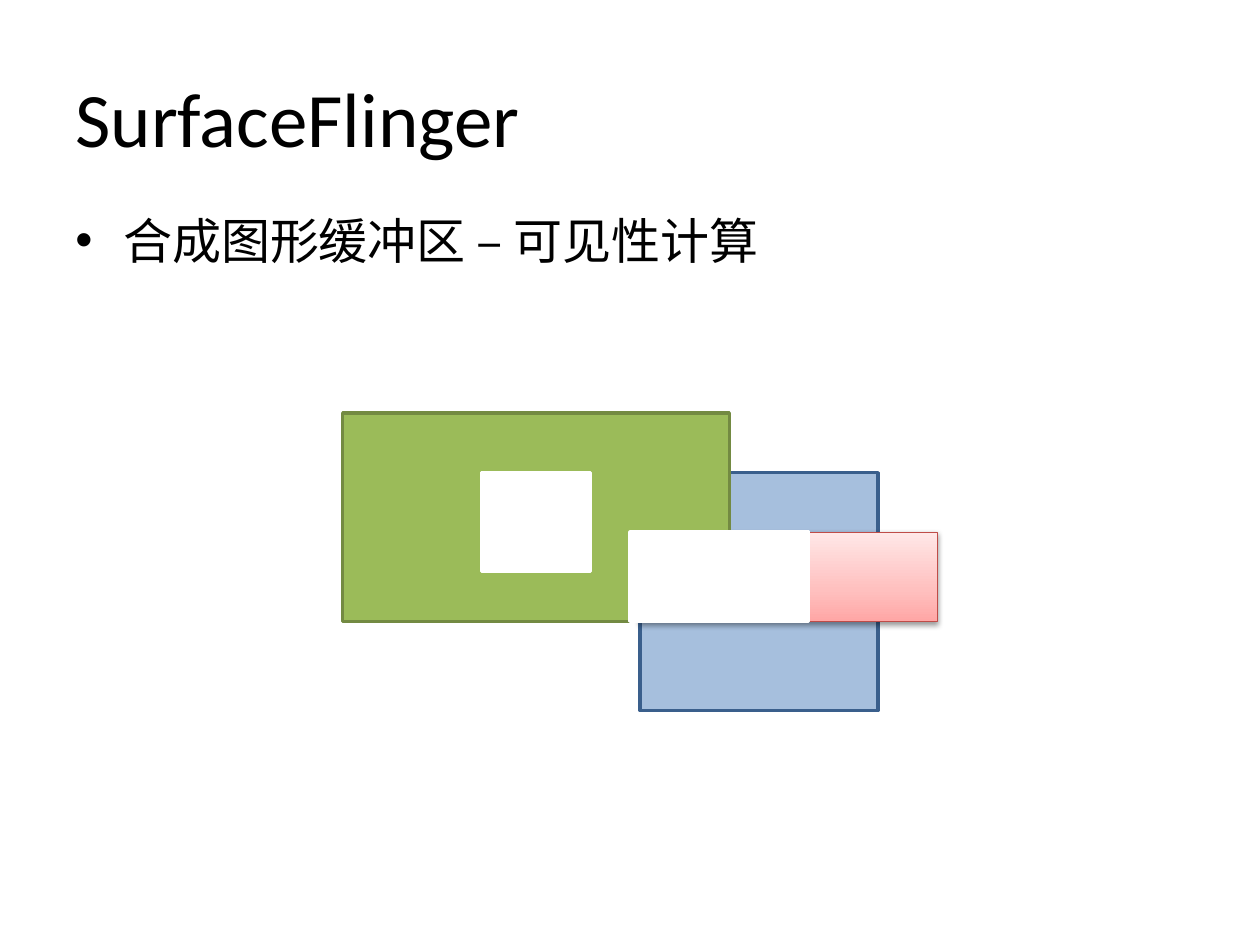
import pptx
import pptx.dml.color
import pptx.enum.shapes
import pptx.enum.text
import pptx.oxml
import pptx.oxml.ns
import pptx.util

WIDTH, HEIGHT = 10, 7.5
UNIT = 0.236
GRID_LEFT, GRID_TOP = 2.72, 3.28
FONT = "Calibri"
COLORS = {
    "text": "000000",
    "blue": "4F81BD", "blue line": "3A5F8C",
    "red line": "BF4C48",
    "green": "9BBB59", "green line": "738A42",
    "hole": "FFFFFF",
    "shadow": "000000",
}
RED_STOPS = ((0, "FFA6A5"), (35, "FFC0BF"), (100, "FFE7E7"))


def rgb(name):
    return pptx.dml.color.RGBColor.from_string(COLORS[name])


def add_xml(parent, tag, content="", **attributes):
    """Append a DrawingML element, with optional inner markup, to parent."""
    pairs = " ".join(f'{key}="{value}"' for key, value in attributes.items())
    element = pptx.oxml.parse_xml(
        f'<a:{tag} {pptx.oxml.ns.nsdecls("a")} {pairs}>{content}</a:{tag}>')
    parent.append(element)


def add_text(slide, text, top, height, size, anchor):
    """Add a one-line text box across the slide's margins; return its paragraph."""
    margin = WIDTH * 0.05
    box = slide.shapes.add_textbox(*map(
        pptx.util.Inches, (margin, top, WIDTH - 2 * margin, height)))
    frame = box.text_frame
    frame.word_wrap = True
    frame.vertical_anchor = anchor
    paragraph = frame.paragraphs[0]
    run = paragraph.add_run()
    run.text = text
    run.font.name = FONT
    run.font.size = pptx.util.Pt(size)
    run.font.color.rgb = rgb("text")
    return paragraph


def add_bullet(paragraph):
    properties = paragraph._p.get_or_add_pPr()
    indent = pptx.util.Inches(0.38)
    properties.set("marL", str(indent))
    properties.set("indent", str(-indent))
    add_xml(properties, "spcBef", '<a:spcPct val="20000"/>')
    add_xml(properties, "buFont", typeface="Arial")
    add_xml(properties, "buChar", char="•")


def add_layer(shapes, column, row, columns, rows, fill, line, line_width=2):
    """Add a rectangle placed in grid units; a fill of None is left to the caller."""
    layer = shapes.add_shape(
        pptx.enum.shapes.MSO_SHAPE.RECTANGLE, *map(pptx.util.Inches, (
            GRID_LEFT + column * UNIT, GRID_TOP + row * UNIT,
            columns * UNIT, rows * UNIT)))
    layer.shadow.inherit = False
    if fill:
        layer.fill.solid()
        layer.fill.fore_color.rgb = rgb(fill)
    layer.line.color.rgb = rgb(line)
    layer.line.width = pptx.util.Pt(line_width)
    return layer


def make_translucent(shape, percent):
    color = shape._element.spPr.find(".//" + pptx.oxml.ns.qn("a:srgbClr"))
    add_xml(color, "alpha", val=percent * 1000)


def set_upward_gradient(shape, stops):
    shape.fill.gradient()
    shape.fill.gradient_angle = 90
    stop_list = shape._element.spPr.find(".//" + pptx.oxml.ns.qn("a:gsLst"))
    for stop in list(stop_list):
        stop_list.remove(stop)
    for position, color in stops:
        add_xml(stop_list, "gs", f'<a:srgbClr val="{color}"/>', pos=position * 1000)


def add_shadow(shape, blur, distance, percent):
    effects = shape._element.spPr.find(pptx.oxml.ns.qn("a:effectLst"))
    color = (f'<a:srgbClr val="{COLORS["shadow"]}">'
             f'<a:alpha val="{percent * 1000}"/></a:srgbClr>')
    add_xml(effects, "outerShdw", color, blurRad=pptx.util.Pt(blur),
            dist=pptx.util.Pt(distance), dir=90 * 60000, rotWithShape=0)


def add_layers(slide):
    blue = add_layer(slide.shapes, 10, 2, 8, 8, "blue", "blue line")
    make_translucent(blue, 50)

    red = add_layer(slide.shapes, 10, 4, 10, 3, None, "red line", 0.75)
    set_upward_gradient(red, RED_STOPS)
    add_shadow(red, 3.1, 1.6, 38)

    front = slide.shapes.add_group_shape().shapes
    add_layer(front, 0, 0, 13, 7, "green", "green line")
    add_layer(front, 4.67, 2, 3.67, 3.33, "hole", "hole")
    add_layer(front, 9.67, 4, 6, 3, "hole", "hole")


def main():
    presentation = pptx.Presentation()
    presentation.slide_width = pptx.util.Inches(WIDTH)
    presentation.slide_height = pptx.util.Inches(HEIGHT)
    slide = presentation.slides.add_slide(presentation.slide_layouts[6])

    anchors = pptx.enum.text.MSO_ANCHOR
    add_text(slide, "SurfaceFlinger", HEIGHT * 0.04, 1.25, 44, anchors.MIDDLE)
    body = add_text(slide, "合成图形缓冲区 – 可见性计算",
                    HEIGHT * 0.216, HEIGHT * 0.66, 28, anchors.TOP)
    add_bullet(body)
    add_layers(slide)
    presentation.save("out.pptx")


if __name__ == "__main__":
    main()
